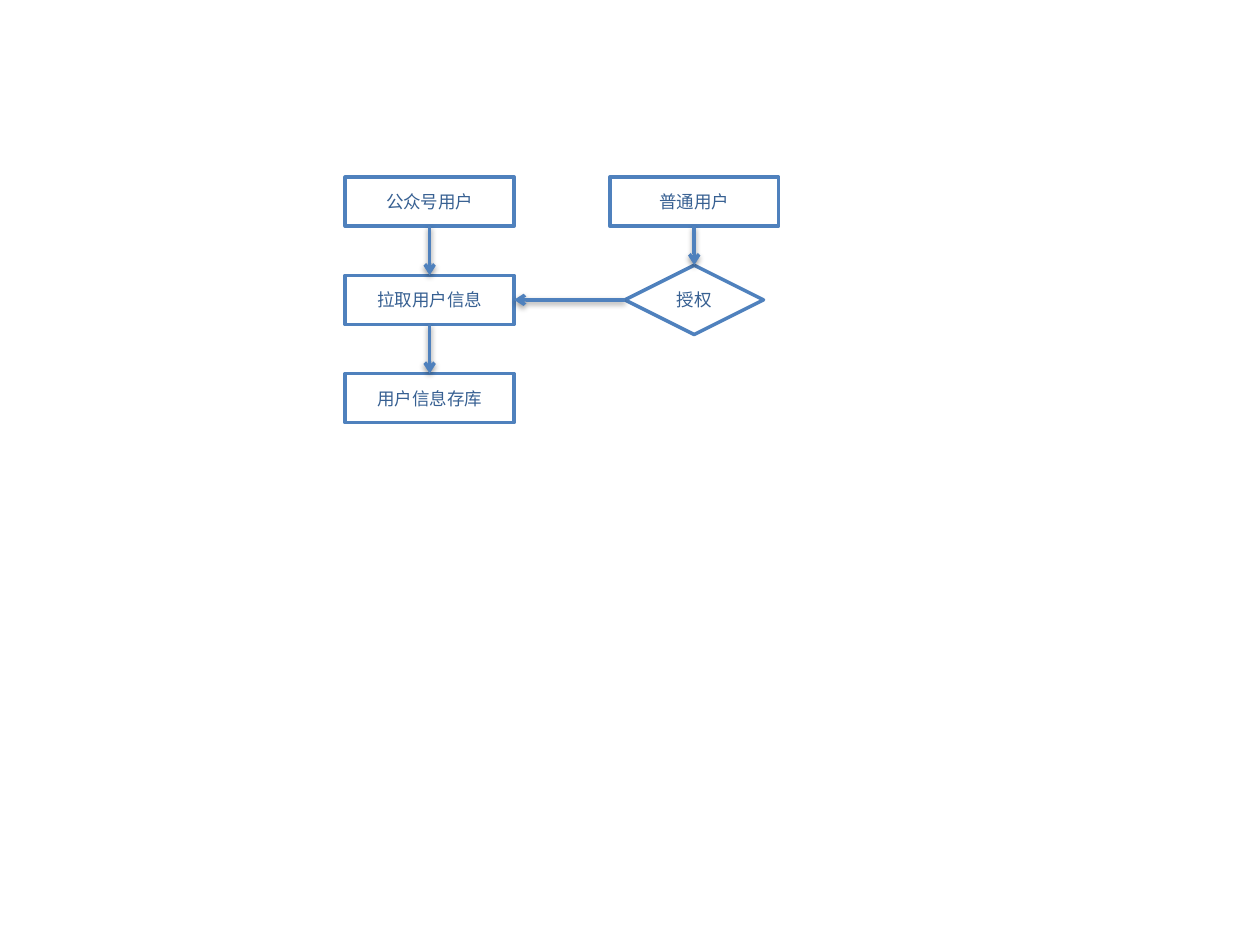
"""Build a flowchart of how user information is fetched and stored."""
from lxml import etree
from pptx import Presentation
from pptx.dml.color import RGBColor as Rgb
from pptx.enum.shapes import MSO_CONNECTOR as Link, MSO_SHAPE as Kind
from pptx.enum.text import MSO_ANCHOR as Anchor, PP_ALIGN as Align
from pptx.oxml import parse_xml
from pptx.oxml.ns import qn
from pptx.util import Inches, Pt

FONT = "Noto Sans CJK SC"
HUES = {"line": "4F81BD", "text": "376092", "fill": "FFFFFF"}
LEFT, RIGHT = 3.41, 5.51
ROWS = [1.6, 2.38, 3.16]
BOX, GEM = (1.34, 0.39), (1.1, 0.55)
TOP, WEST, BASE, EAST = range(4)
SHADE = (
    '<a:effectLst xmlns:a="http://schemas.openxmlformats.org/drawingml/2006/main">'
    '<a:outerShdw blurRad="40000" dist="20000" dir="5400000" rotWithShape="0">'
    '<a:srgbClr val="000000"><a:alpha val="38000"/></a:srgbClr>'
    "</a:outerShdw></a:effectLst>"
)


def hue(name):
    return Rgb.from_string(HUES[name])


def write(shape, text, size=10, color="text", align=Align.CENTER):
    frame = shape.text_frame
    frame.word_wrap = True
    frame.vertical_anchor = Anchor.MIDDLE
    para = frame.paragraphs[0]
    para.alignment = align
    run = para.add_run()
    run.text = text
    run.font.size = Pt(size)
    run.font.name = FONT
    run.font.color.rgb = hue(color)
    etree.SubElement(run.font._element, qn("a:ea"), typeface=FONT)


def stroke(item):
    item.line.color.rgb = hue("line")
    item.line.width = Pt(2)


def node(slide, text, x, y, size=BOX, kind=Kind.RECTANGLE):
    wide, high = size
    shape = slide.shapes.add_shape(
        kind, Inches(x - wide / 2), Inches(y - high / 2), Inches(wide), Inches(high)
    )
    shape.shadow.inherit = False
    shape.fill.solid()
    shape.fill.fore_color.rgb = hue("fill")
    stroke(shape)
    write(shape, text)
    return shape


def arrow(slide, start, end, out=BASE, into=TOP):
    link = slide.shapes.add_connector(Link.STRAIGHT, 0, 0, 0, 0)
    link.begin_connect(start, out)
    link.end_connect(end, into)
    stroke(link)
    etree.SubElement(link.line._get_or_add_ln(), qn("a:tailEnd"), type="arrow")
    link._element.spPr.append(parse_xml(SHADE))


def main():
    deck = Presentation()
    deck.slide_width, deck.slide_height = Inches(10), Inches(7.5)
    slide = deck.slides.add_slide(deck.slide_layouts[6])

    steps = ["公众号用户", "拉取用户信息", "用户信息存库"]
    fan, fetch, store = [node(slide, text, LEFT, y) for text, y in zip(steps, ROWS)]
    guest = node(slide, "普通用户", RIGHT, ROWS[0])
    grant = node(slide, "授权", RIGHT, ROWS[1], GEM, Kind.FLOWCHART_DECISION)

    for start, end in [(fan, fetch), (fetch, store), (guest, grant)]:
        arrow(slide, start, end)
    arrow(slide, grant, fetch, out=WEST, into=EAST)

    deck.save("out.pptx")


main()
